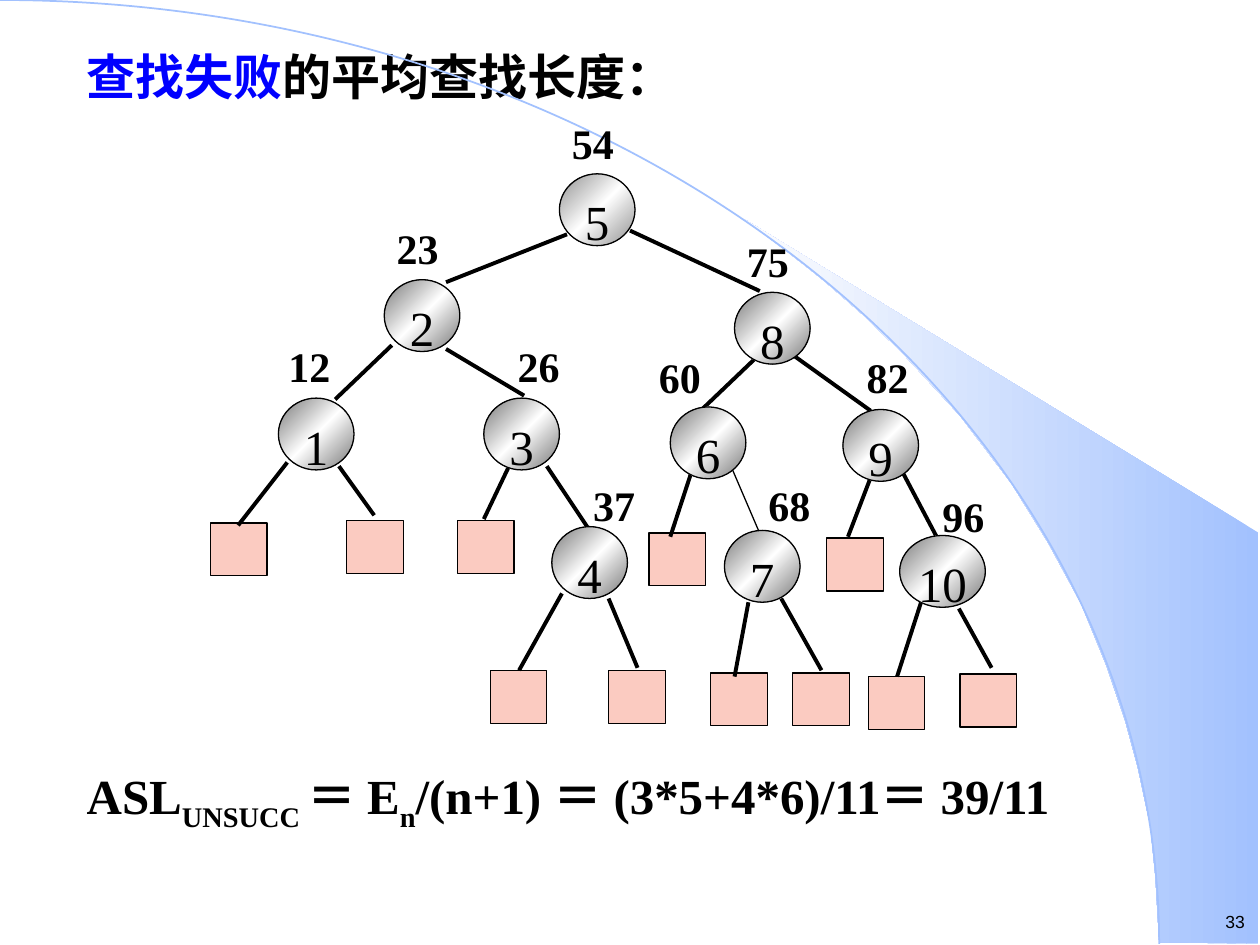
from copy import deepcopy

from pptx import Presentation
from pptx import util as u
from pptx.dml.color import RGBColor
from pptx.enum import shapes, text
from pptx.oxml.ns import qn
from pptx.oxml.xmlchemy import OxmlElement

BLACK = RGBColor(0x00, 0x00, 0x00)
WHITE = RGBColor(0xFF, 0xFF, 0xFF)
BLUE = RGBColor(0x00, 0x00, 0xFF)
SKY = RGBColor(0xA2, 0xC1, 0xFE)
MIST = RGBColor(0xFE, 0xFE, 0xFE)
GRAY = RGBColor(0x75, 0x75, 0x75)
ROOT_GRAY = RGBColor(0x8F, 0x8F, 0x8F)
PINK = RGBColor(0xFB, 0xCB, 0xC1)

SERIF = "Times New Roman"
HAN = "Noto Sans CJK SC"
CM_PER_INCH = 2.54

WEDGE = [
    (9.2, 7.48), (9.99, 7.49), (9.99, 4.23), (5.89, 1.73), (6.24, 1.99), (6.53, 2.22),
    (6.85, 2.5), (7.16, 2.8), (7.62, 3.3), (8.03, 3.84), (8.32, 4.31), (8.58, 4.79),
    (8.78, 5.28), (8.93, 5.72), (9.03, 6.09), (9.13, 6.56), (9.17, 6.96),
]
NODES = [
    ("5", 2.94, 0.88, "54", 0, -0.5),
    ("2", 1.55, 1.72, "23", 0, -0.5),
    ("8", 4.33, 1.82, "75", 0, -0.5),
    ("1", 0.71, 2.66, "12", -0.02, -0.51),
    ("3", 2.34, 2.66, "26", 0.17, -0.51),
    ("6", 3.82, 2.73, "60", -0.19, -0.49),
    ("9", 5.19, 2.75, "82", 0.09, -0.51),
    ("4", 2.88, 3.68, "37", 0.23, -0.42),
    ("7", 4.25, 3.71, "68", 0.25, -0.45),
    ("10", 5.64, 3.75, "96", 0.24, -0.41),
]
LEAVES = [
    (0.17, 3.65), (1.25, 3.63), (2.13, 3.63), (3.65, 3.73), (5.06, 3.77), (2.39, 4.82),
    (3.33, 4.82), (4.14, 4.84), (4.79, 4.84), (5.39, 4.87), (6.12, 4.85),
]
THIN_EDGE = (4.31, 3.22, 4.55, 3.78)
EDGES = [
    (3.5, 1.33, 4.53, 1.81), (3, 1.36, 2.04, 1.74), (1.61, 2.24, 1.16, 2.67),
    (2.04, 2.27, 2.66, 2.64), (4.51, 2.33, 4.06, 2.76), (4.81, 2.33, 5.41, 2.76),
    (0.78, 3.17, 0.39, 3.67), (1.19, 3.2, 1.47, 3.59), (2.54, 3.2, 2.34, 3.62),
    (2.84, 3.2, 3.18, 3.71), (3.99, 3.24, 3.82, 3.76), THIN_EDGE,
    (5.41, 3.29, 5.23, 3.76), (5.67, 3.26, 5.96, 3.81), (2.96, 4.21, 2.62, 4.82),
    (3.33, 4.25, 3.56, 4.8), (4.44, 4.28, 4.33, 4.87), (4.7, 4.25, 5.02, 4.82),
    (5.81, 4.28, 5.62, 4.87), (6.11, 4.33, 6.37, 4.8),
]


def lengths(*inches):
    """Turn inch values into Cm lengths."""
    return [u.Cm(value * CM_PER_INCH) for value in inches]


def apply(target, values):
    """Set every attribute named in a dict of format values."""
    for name, value in values.items():
        setattr(target, name, value)


def write(para, content, color=BLACK, baseline=None, **font):
    """Add one formatted span to a paragraph."""
    span = para.add_run()
    span.text = content
    apply(span.font, font)
    span.font.color.rgb = color
    properties = span._r.get_or_add_rPr()
    if baseline:
        properties.set("baseline", str(baseline))
    if font.get("name") == HAN:
        east_asian = OxmlElement("a:ea")
        east_asian.set("typeface", HAN)
        properties.find(qn("a:latin")).addnext(east_asian)


def prepare(shape, sides, ends, anchor=text.MSO_ANCHOR.TOP, align=text.PP_ALIGN.LEFT):
    """Set the margins and alignment of a text frame and return its paragraph."""
    side, top, bottom = lengths(sides, *ends)
    apply(shape.text_frame, {
        "word_wrap": True, "auto_size": text.MSO_AUTO_SIZE.NONE, "vertical_anchor": anchor,
        "margin_left": side, "margin_right": side, "margin_top": top, "margin_bottom": bottom,
    })
    para = shape.text_frame.paragraphs[0]
    apply(para, {"alignment": align, "space_before": u.Pt(0)})
    return para


def outline(shape, color, width):
    """Give a shape a plain line and no shadow."""
    shape.shadow.inherit = False
    shape.line.color.rgb = color
    shape.line.width = u.Pt(width)


def shade(shape, colors, angle):
    """Fill a shape with an evenly spaced gradient."""
    shape.fill.gradient()
    stops = shape._element.spPr.find(qn("a:gradFill")).find(qn("a:gsLst"))
    while len(stops) < len(colors):
        stops.append(deepcopy(stops[0]))
    for index, (stop, color) in enumerate(zip(shape.fill.gradient_stops, colors)):
        stop.color.rgb = color
        stop.position = index / (len(colors) - 1)
    shape.fill.gradient_angle = angle


def add_backdrop(page, left, top, width, height):
    """Draw the shaded wedge and the large arc."""
    points = [lengths(left + x, top + y) for x, y in WEDGE]
    builder = page.shapes.build_freeform(*points[0])
    builder.add_line_segments(points[1:])
    wedge = builder.convert_to_shape()
    wedge.shadow.inherit = False
    wedge.line.fill.background()
    shade(wedge, [SKY, MIST], 180)
    arc = page.shapes.add_shape(
        shapes.MSO_SHAPE.ARC, *lengths(left - width, top, 2 * width, 2 * height))
    arc.fill.background()
    outline(arc, SKY, 1)


def add_title(page, *box):
    """Place and format the title placeholder."""
    title = page.shapes.title
    apply(title, dict(zip(("left", "top", "width", "height"), lengths(*box))))
    para = prepare(title, 0.1, (0.05, 0.05), text.MSO_ANCHOR.MIDDLE)
    para.line_spacing = 0.9
    font = {"name": HAN, "size": u.Pt(28), "bold": True}
    write(para, "查找失败", BLUE, **font)
    write(para, "的平均查找长度：", **font)


def add_edge(page, left, top, edge):
    """Draw one branch of the tree."""
    x1, y1, x2, y2 = edge
    line = page.shapes.add_connector(
        shapes.MSO_CONNECTOR.STRAIGHT, *lengths(left + x1, top + y1, left + x2, top + y2))
    line.line.color.rgb = BLACK
    line.line.width = u.Pt(0.75 if edge == THIN_EDGE else 2.25)
    line._element.spPr.append(OxmlElement("a:effectLst"))


def add_node(page, left, top, rank, key, shift, rise):
    """Draw one numbered node with its key."""
    width = 0.6 if len(rank) == 1 else 0.68
    node = page.shapes.add_shape(shapes.MSO_SHAPE.OVAL, *lengths(left, top, width, 0.57))
    edge_color = ROOT_GRAY if rank == "5" else GRAY
    shade(node, [edge_color, WHITE, edge_color], 135)
    outline(node, BLACK, 0.75)
    para = prepare(node, 0.02, (0.06, 0.01), align=text.PP_ALIGN.CENTER)
    write(para, rank, name=SERIF, size=u.Pt(28))
    label = page.shapes.add_textbox(*lengths(left + shift, top + rise, 0.61, 0.5))
    para = prepare(label, 0.1, (0.05, 0.05))
    write(para, key, name=SERIF, size=u.Pt(24), bold=True)


def add_tree(page, left, top):
    """Draw the search tree with its external leaves."""
    for x, y in LEAVES:
        leaf = page.shapes.add_shape(
            shapes.MSO_SHAPE.RECTANGLE, *lengths(left + x, top + y, 0.45, 0.42))
        leaf.fill.solid()
        leaf.fill.fore_color.rgb = PINK
        outline(leaf, BLACK, 0.75)
    for edge in EDGES:
        add_edge(page, left, top, edge)
    for rank, x, y, key, shift, rise in NODES:
        add_node(page, left + x, top + y, rank, key, shift, rise)


def add_formula(page, *box):
    """Write the average search length of a failed search."""
    formula = page.shapes.add_textbox(*lengths(*box))
    para = prepare(formula, 0.1, (0.05, 0.05), align=text.PP_ALIGN.JUSTIFY)
    parts = [("ASL", None), ("UNSUCC ", -25000), ("＝ E", None), ("n", -25000),
             ("/(n+1) ＝ (3*5+4*6)/11＝ 39/11", None)]
    for content, baseline in parts:
        write(para, content, baseline=baseline, name=SERIF, size=u.Pt(28), bold=True)


def add_page_number(page, *box):
    """Write the page number."""
    number = page.shapes.add_textbox(*lengths(*box))
    para = prepare(number, 0.02, (0.05, 0.05), align=text.PP_ALIGN.RIGHT)
    write(para, "33", name="Arial", size=u.Pt(10))


def main():
    """Build the deck and save it."""
    deck = Presentation()
    deck.slide_width, deck.slide_height = lengths(10, 7.5)
    page = deck.slides.add_slide(deck.slide_layouts[5])
    add_backdrop(page, 0, 0, 9.2, 7.49)
    add_page_number(page, 9.41, 7.18, 0.49, 0.27)
    add_title(page, 0.59, 0.36, 5.32, 0.54)
    add_formula(page, 0.59, 6.03, 8.33, 1.1)
    add_tree(page, 1.5, 0.5)
    deck.save("out.pptx")


if __name__ == "__main__":
    main()
